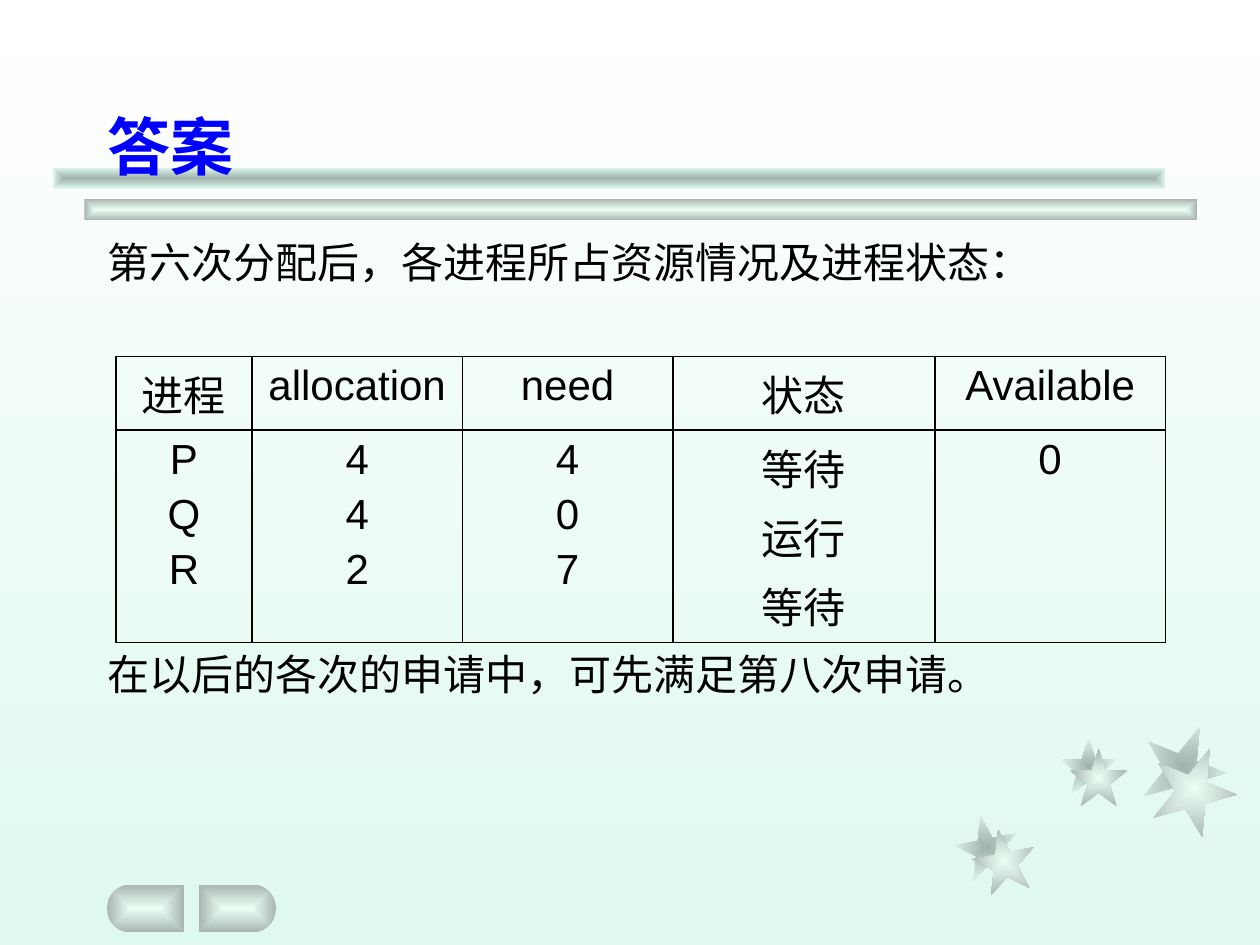
import math
from dataclasses import dataclass

import pptx
import pptx.dml.color
import pptx.enum.shapes
import pptx.enum.text
import pptx.oxml
import pptx.oxml.ns
import pptx.util
from pptx.util import Inches

ALIGN = pptx.enum.text.PP_ALIGN
ANCHOR = pptx.enum.text.MSO_ANCHOR
SHAPE = pptx.enum.shapes.MSO_SHAPE


@dataclass(frozen=True)
class Theme:
    font: str = "Arial"
    title_size: float = 36
    text_size: float = 24
    line_gap: float = 4.8
    table_gap: float = 206.5
    title: str = "0000FF"
    ink: str = "000000"
    background: tuple = ("FFFFFF", "DFF9EF")
    dark_core: tuple = ("A0B2AB", "DFF9EF")
    light_core: tuple = ("EBFFF5", "A8B6AF")


THEME = Theme()

HEADERS = ["进程", "allocation", "need", "状态", "Available"]
COLUMNS = [["P", "Q", "R"], ["4", "4", "2"], ["4", "0", "7"], ["等待", "运行", "等待"], ["0"]]
COLUMN_WIDTHS = [1.08, 1.67, 1.67, 2.08, 1.83]
ROW_HEIGHTS = [0.58, 1.58]


def a_element(body):
    """Parse one element written with the a: prefix."""
    namespace = pptx.oxml.ns.nsdecls("a")
    tag, rest = body.split(" ", 1)
    return pptx.oxml.parse_xml(f"{tag} {namespace} {rest}")


def write(frame, lines, *, size=THEME.text_size, color=THEME.ink, bold=False,
          align=ALIGN.LEFT, gap=THEME.line_gap, hanging=None):
    """Fill a text frame, one paragraph a line; gap is the points between them."""
    frame.word_wrap = True
    for index, line in enumerate(lines):
        paragraph = frame.paragraphs[0] if index == 0 else frame.add_paragraph()
        paragraph.alignment = align
        paragraph.space_before = pptx.util.Pt(gap if index else 0)
        if hanging is not None:
            properties = paragraph._p.get_or_add_pPr()
            properties.set("marL", str(hanging))
            properties.set("indent", str(-hanging))
            properties.append(a_element("<a:buNone />"))
        run = paragraph.add_run()
        run.text = line
        run.font.name = THEME.font
        run.font.size = pptx.util.Pt(size)
        run.font.bold = bold
        run.font.color.rgb = pptx.dml.color.RGBColor.from_string(color)


def set_gradient(fill, colors):
    fill.gradient()
    for stop, color in zip(fill.gradient_stops, colors):
        stop.color.rgb = pptx.dml.color.RGBColor.from_string(color)


def finish_metal(shape, colors):
    """Give a shape a gradient that runs from its centre to its outline."""
    set_gradient(shape.fill, colors)
    linear = shape.element.find(".//" + pptx.oxml.ns.qn("a:lin"))
    linear.getparent().replace(linear, a_element(
        '<a:path path="shape">'
        '<a:fillToRect l="50000" t="50000" r="50000" b="50000"/></a:path>'))
    shape.line.fill.background()
    shape.shadow.inherit = False


def add_metal(slide, kind, left, top, width, height, colors, rotation=0):
    shape = slide.shapes.add_shape(kind, left, top, width, height)
    shape.rotation = rotation
    finish_metal(shape, colors)


def add_stars(slide, left, top):
    """Each star is a dark one with a light one shifted over it."""
    stars = [(0, 0.72, 0.5, 349, 0.14, 0.11),
             (0.83, 0.1, 0.46, 0, 0.08, 0.09),
             (1.48, 0, 0.67, 22, 0.08, 0.17)]
    for colors, shift in ((THEME.dark_core, 0), (THEME.light_core, 1)):
        for x, y, size, rotation, dx, dy in stars:
            add_metal(slide, SHAPE.STAR_5_POINT, left + Inches(x + dx * shift),
                      top + Inches(y + dy * shift), Inches(size), Inches(size),
                      colors, rotation)


def add_title_bars(slide, left, top, width):
    offset, height = Inches(0.25), Inches(0.17)
    for step, colors in ((1, THEME.light_core), (0, THEME.dark_core)):
        add_metal(slide, SHAPE.RECTANGLE, left + step * offset, top + step * offset,
                  width, height, colors)


def add_button(slide, left, top, width, height, round_left):
    """Draw a button with one half-round end."""
    radius = height / 2
    flat_x, center_x, side = ((left + width, left + radius, -1) if round_left
                              else (left, left + width - radius, 1))
    steps = 20
    angles = [math.pi * (step / steps - 0.5) for step in range(steps + 1)]
    arc = [(center_x + side * radius * math.cos(angle),
            top + radius + radius * math.sin(angle)) for angle in angles]
    outline = slide.shapes.build_freeform(flat_x, top)
    outline.add_line_segments(arc + [(flat_x, top + height)], close=True)
    finish_metal(outline.convert_to_shape(), THEME.light_core)


def add_buttons(slide, left, top):
    width, height, gap = Inches(0.61), Inches(0.38), Inches(0.12)
    add_button(slide, left, top, width, height, round_left=True)
    add_button(slide, left + width + gap, top, width, height, round_left=False)


def place_text(placeholder, left, top, width, height, anchor, lines, **text_format):
    placeholder.left, placeholder.top = left, top
    placeholder.width, placeholder.height = width, height
    # Bring the text in front of the decoration.
    placeholder.element.getparent().append(placeholder.element)
    frame = placeholder.text_frame
    frame.auto_size = pptx.enum.text.MSO_AUTO_SIZE.NONE
    frame.vertical_anchor = anchor
    write(frame, lines, **text_format)


def set_borders(cell):
    properties = cell._tc.get_or_add_tcPr()
    for edge in ("lnL", "lnR", "lnT", "lnB"):
        properties.append(a_element(
            f'<a:{edge} w="12700"><a:solidFill><a:srgbClr val="{THEME.ink}"/>'
            f'</a:solidFill></a:{edge}>'))


def add_state_table(slide, left, top):
    frame = slide.shapes.add_table(
        len(ROW_HEIGHTS), len(COLUMN_WIDTHS), left, top,
        Inches(sum(COLUMN_WIDTHS)), Inches(sum(ROW_HEIGHTS)))
    states = frame.table
    states.first_row = states.horz_banding = False
    for row, height in zip(states.rows, ROW_HEIGHTS):
        row.height = Inches(height)
    for index, (header, values) in enumerate(zip(HEADERS, COLUMNS)):
        states.columns[index].width = Inches(COLUMN_WIDTHS[index])
        for row_index, lines in enumerate(([header], values)):
            cell = states.cell(row_index, index)
            set_borders(cell)
            cell.fill.background()
            write(cell.text_frame, lines, align=ALIGN.CENTER)


def main():
    deck = pptx.Presentation()
    deck.slide_width, deck.slide_height = Inches(10), Inches(7.5)
    slide = deck.slides.add_slide(deck.slide_layouts[1])
    set_gradient(slide.background.fill, THEME.background)
    slide.background.fill.gradient_angle = 270

    add_stars(slide, Inches(7.58), Inches(5.75))
    add_title_bars(slide, Inches(0.42), Inches(1.33), Inches(8.83))
    add_buttons(slide, Inches(0.85), Inches(7.02))
    place_text(slide.shapes.title, Inches(0.75), Inches(0.25), Inches(8.5), Inches(1.25),
               ANCHOR.BOTTOM, ["答案"], size=THEME.title_size, color=THEME.title, bold=True)
    place_text(slide.placeholders[1], Inches(0.75), Inches(1.83), Inches(8.5), Inches(5.08),
               ANCHOR.TOP,
               ["第六次分配后，各进程所占资源情况及进程状态：",
                "在以后的各次的申请中，可先满足第八次申请。"],
               align=ALIGN.JUSTIFY, gap=THEME.table_gap, hanging=Inches(0.1))
    add_state_table(slide, Inches(0.92), Inches(2.83))
    deck.save("out.pptx")


if __name__ == "__main__":
    main()
